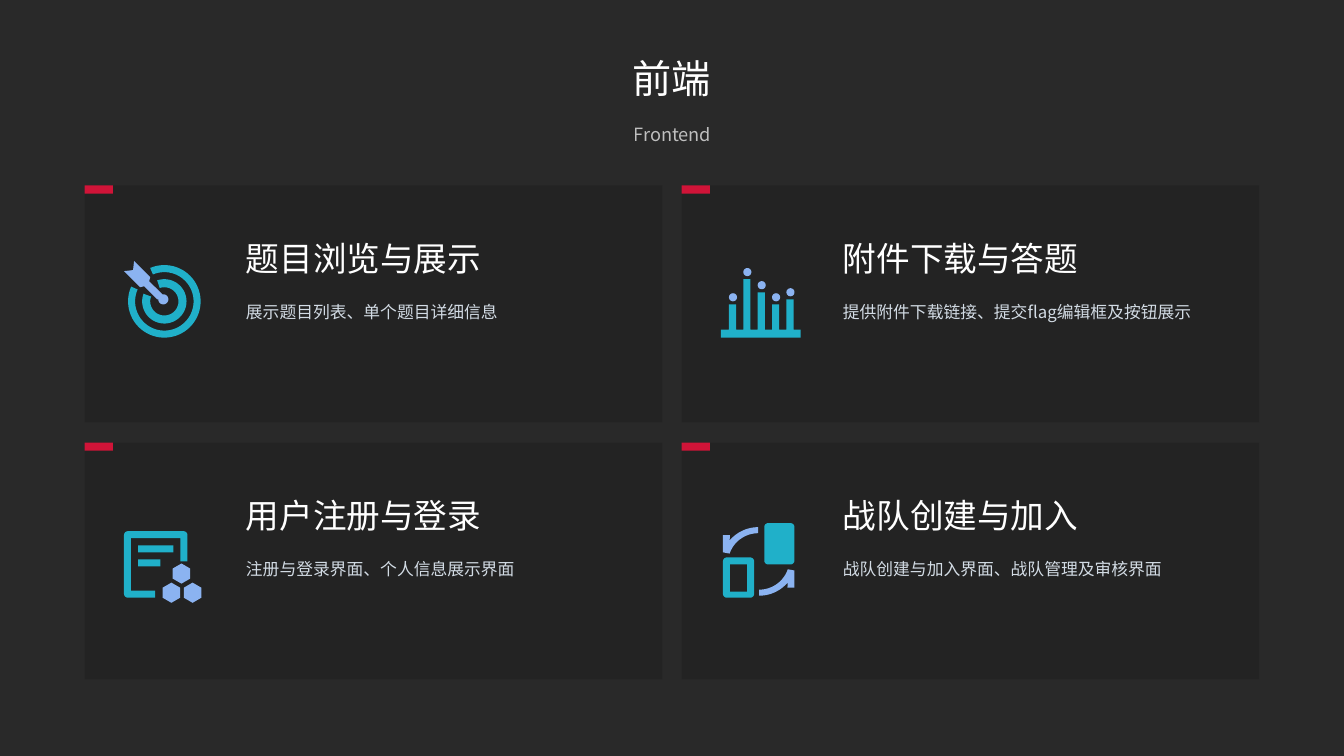
from math import cos, radians, sin

from lxml import etree
from pptx import Presentation
from pptx.dml.color import RGBColor
from pptx.enum.shapes import MSO_SHAPE
from pptx.enum.text import MSO_ANCHOR, MSO_AUTO_SIZE, PP_ALIGN
from pptx.oxml.ns import qn
from pptx.util import Inches, Pt

RECT = MSO_SHAPE.RECTANGLE
TOP, MIDDLE = MSO_ANCHOR.TOP, MSO_ANCHOR.MIDDLE
LEFT, CENTER = PP_ALIGN.LEFT, PP_ALIGN.CENTER
NO_FIT = MSO_AUTO_SIZE.NONE

DARK = RGBColor(0x29, 0x29, 0x29)
BLACK = RGBColor(0x0D, 0x0D, 0x0D)
WHITE = RGBColor(0xFF, 0xFF, 0xFF)
PALE = RGBColor(0xD2, 0xDB, 0xE4)
RED = RGBColor(0xD0, 0x14, 0x38)
TEAL = RGBColor(0x20, 0xB0, 0xC9)
BLUE = RGBColor(0x8B, 0xB3, 0xF1)
FONT = "Noto Sans CJK SC"

# Card grid
CARD_X, CARD_Y = 0.84, 1.84
CARD_W, CARD_H = 5.73, 2.35
STEP_X, STEP_Y = 5.92, 2.55
CARDS = [
    ("题目浏览与展示", "展示题目列表、单个题目详细信息"),
    ("附件下载与答题", "提供附件下载链接、提交flag编辑框及按钮展示"),
    ("用户注册与登录", "注册与登录界面、个人信息展示界面"),
    ("战队创建与加入", "战队创建与加入界面、战队管理及审核界面"),
]


def set_alpha(node, percent):
    color = next(node.iter(qn("a:srgbClr")))
    etree.SubElement(color, qn("a:alpha")).set("val", str(percent * 1000))


def paint(shape, color):
    shape.shadow.inherit = False
    shape.fill.solid()
    shape.fill.fore_color.rgb = color
    shape.line.fill.background()


def add_rect(slide, x, y, w, h, color, alpha=None):
    rect = slide.shapes.add_shape(RECT, Inches(x), Inches(y), Inches(w), Inches(h))
    paint(rect, color)
    if alpha:
        set_alpha(rect.fill._xPr, alpha)


def add_text(slide, text, x, y, w, h, size, color=WHITE, align=LEFT,
             anchor=TOP, inset=0.03, spacing=1.0, alpha=None, box=None):
    if box is None:
        box = slide.shapes.add_textbox(0, 0, 0, 0)
    box.left, box.top = Inches(x), Inches(y)
    box.width, box.height = Inches(w), Inches(h)
    frame = box.text_frame
    frame.word_wrap = True
    frame.auto_size = NO_FIT
    frame.vertical_anchor = anchor
    frame.margin_left = frame.margin_right = Inches(inset)
    frame.margin_top = frame.margin_bottom = Inches(inset)
    para = frame.paragraphs[0]
    para.alignment, para.line_spacing = align, spacing
    para.space_before = Pt(0)
    run = para.add_run()
    run.text = text
    font = run.font
    font.size, font.name, font.color.rgb = Pt(size), FONT, color
    props = run._r.get_or_add_rPr()
    etree.SubElement(props, qn("a:ea")).set("typeface", FONT)
    if alpha:
        set_alpha(props, alpha)


def add_path(slide, color, *loops):
    """Fill closed loops of points; inner loops cut holes."""
    loops = [[(Inches(x), Inches(y)) for x, y in loop] for loop in loops]
    path = slide.shapes.build_freeform(*loops[0][0], scale=1.0)
    path.add_line_segments(loops[0][1:], close=True)
    for loop in loops[1:]:
        path.move_to(*loop[0])
        path.add_line_segments(loop[1:], close=True)
    paint(path.convert_to_shape(), color)


# Outlines, with angles in degrees clockwise from the right
def arc(x, y, r, start, end, steps=24):
    turns = [radians(start + (end - start) * i / steps) for i in range(steps + 1)]
    return [(x + r * cos(t), y + r * sin(t)) for t in turns]


def band(x, y, outer, inner, start, end):
    return arc(x, y, outer, start, end, 60) + arc(x, y, inner, end, start, 60)


def bar(left, top, right, bottom):
    return [(left, top), (right, top), (right, bottom), (left, bottom)]


def soft_bar(left, top, right, bottom, r=0.04):
    return (arc(left + r, top + r, r, 180, 270, 6)
            + arc(right - r, top + r, r, 270, 360, 6)
            + arc(right - r, bottom - r, r, 0, 90, 6)
            + arc(left + r, bottom - r, r, 90, 180, 6))


# Icons
def draw_target(slide):
    x, y = 1.63, 2.99
    add_path(slide, TEAL, band(x, y, 0.36, 0.29, 247, 564),
             band(x, y, 0.22, 0.14, 251, 560))
    dart = [(1.39, 2.85), (1.43, 2.84), (1.56, 2.97)]
    dart += arc(1.62, 2.97, 0.05, 180, -100)
    dart += [(1.48, 2.79), (1.49, 2.75), (1.33, 2.59), (1.32, 2.68), (1.23, 2.69)]
    add_path(slide, BLUE, dart)


def draw_chart(slide):
    tops = [3.02, 2.77, 2.9, 3.02, 2.97]
    lefts = [7.23 + 0.57 * i / 4 for i in range(len(tops))]
    bars = [bar(x, y, x + 0.07, 3.27) for x, y in zip(lefts, tops)]
    dots = [arc(x + 0.04, y - 0.07, 0.04, 0, 360) for x, y in zip(lefts, tops)]
    add_path(slide, TEAL, *bars, bar(7.15, 3.27, 7.94, 3.35))
    add_path(slide, BLUE, *dots)


def draw_form(slide):
    page = [(1.3, 5.34), (1.3, 5.86), (1.54, 5.86), (1.54, 5.93)]
    page += arc(1.27, 5.89, 0.04, 90, 180, 6) + arc(1.27, 5.31, 0.04, 180, 270, 6)
    page += arc(1.82, 5.31, 0.04, 270, 360, 6)
    page += [(1.86, 5.57), (1.79, 5.57), (1.79, 5.34)]
    add_path(slide, TEAL, page, bar(1.37, 5.41, 1.72, 5.48),
             bar(1.37, 5.55, 1.59, 5.62))
    spots = [(1.8, 5.69), (1.7, 5.88), (1.91, 5.88)]
    add_path(slide, BLUE, *[arc(x, y, 0.1, 30, 330, 5) for x, y in spots])


def draw_swap(slide):
    add_path(slide, TEAL, soft_bar(7.17, 5.53, 7.48, 5.93),
             bar(7.24, 5.6, 7.41, 5.87), soft_bar(7.58, 5.19, 7.88, 5.6))
    arrow = [(7.17, 5.48), (7.17, 5.31), (7.24, 5.31)]
    arrow += arc(7.52, 5.6, 0.37, 220, 270) + arc(7.52, 5.59, 0.3, 270, 199)
    turned = [(15.05 - x, 11.14 - y) for x, y in arrow]
    add_path(slide, BLUE, arrow, turned)


def add_card(slide, index, title, note):
    row, col = divmod(index, 2)
    x, y = CARD_X + col * STEP_X, CARD_Y + row * STEP_Y
    add_rect(slide, x, y, CARD_W, CARD_H, BLACK, alpha=20)
    add_rect(slide, x, y, 0.28, 0.08, RED)
    add_text(slide, title, x + 1.57, y + 0.49, 3.94, 0.46, 24, anchor=MIDDLE)
    add_text(slide, note, x + 1.57, y + 1.08, 3.94, 0.3, 12, PALE, spacing=1.2)


def main():
    deck = Presentation()
    deck.slide_width, deck.slide_height = Inches(13.33), Inches(7.5)
    slide = deck.slides.add_slide(deck.slide_layouts[5])
    slide.background.fill.solid()
    slide.background.fill.fore_color.rgb = DARK

    # Heading
    add_text(slide, "前端", 4.78, 0.48, 3.77, 0.58, 28, align=CENTER,
             anchor=MIDDLE, inset=0.06, box=slide.shapes.title)
    add_text(slide, "Frontend", 4.44, 1, 4.46, 0.47, 13, align=CENTER,
             spacing=1.9, alpha=70)

    # Cards and their icons
    for index, (title, note) in enumerate(CARDS):
        add_card(slide, index, title, note)
    for draw in (draw_target, draw_chart, draw_form, draw_swap):
        draw(slide)

    deck.save("out.pptx")


if __name__ == "__main__":
    main()
